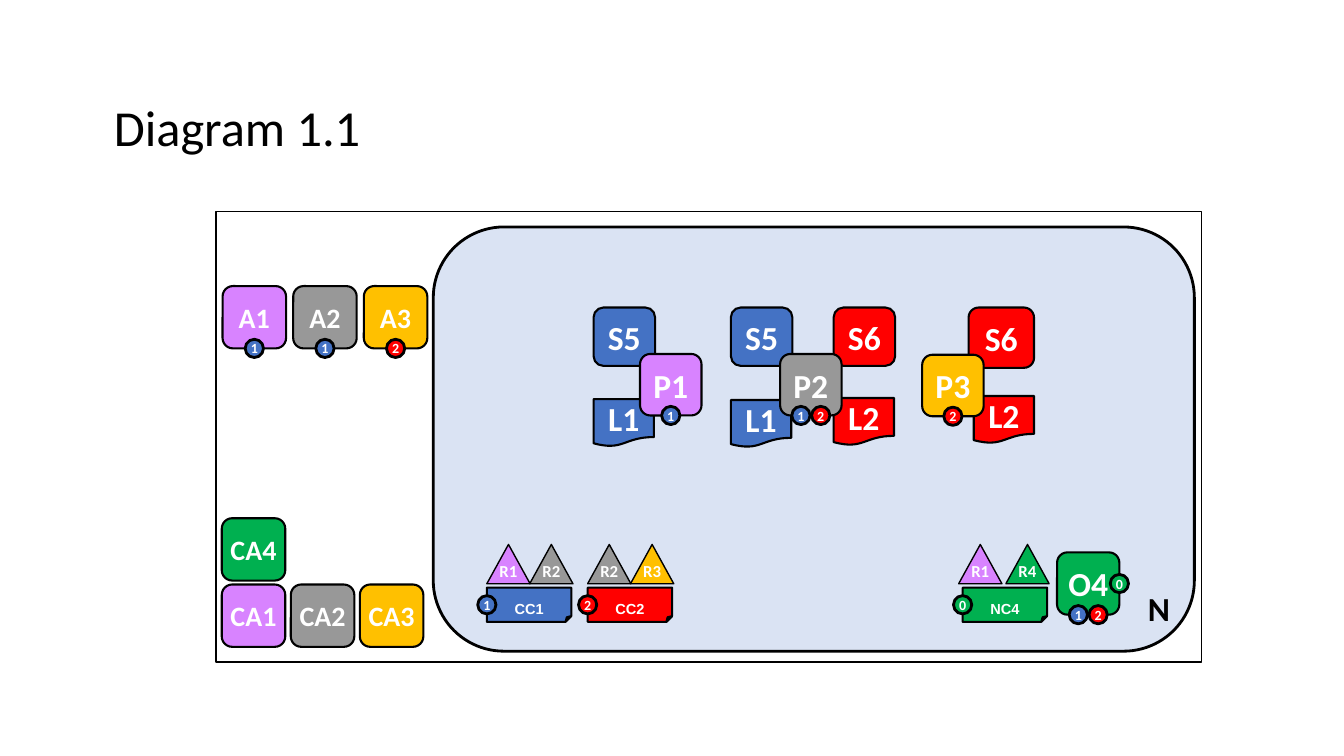
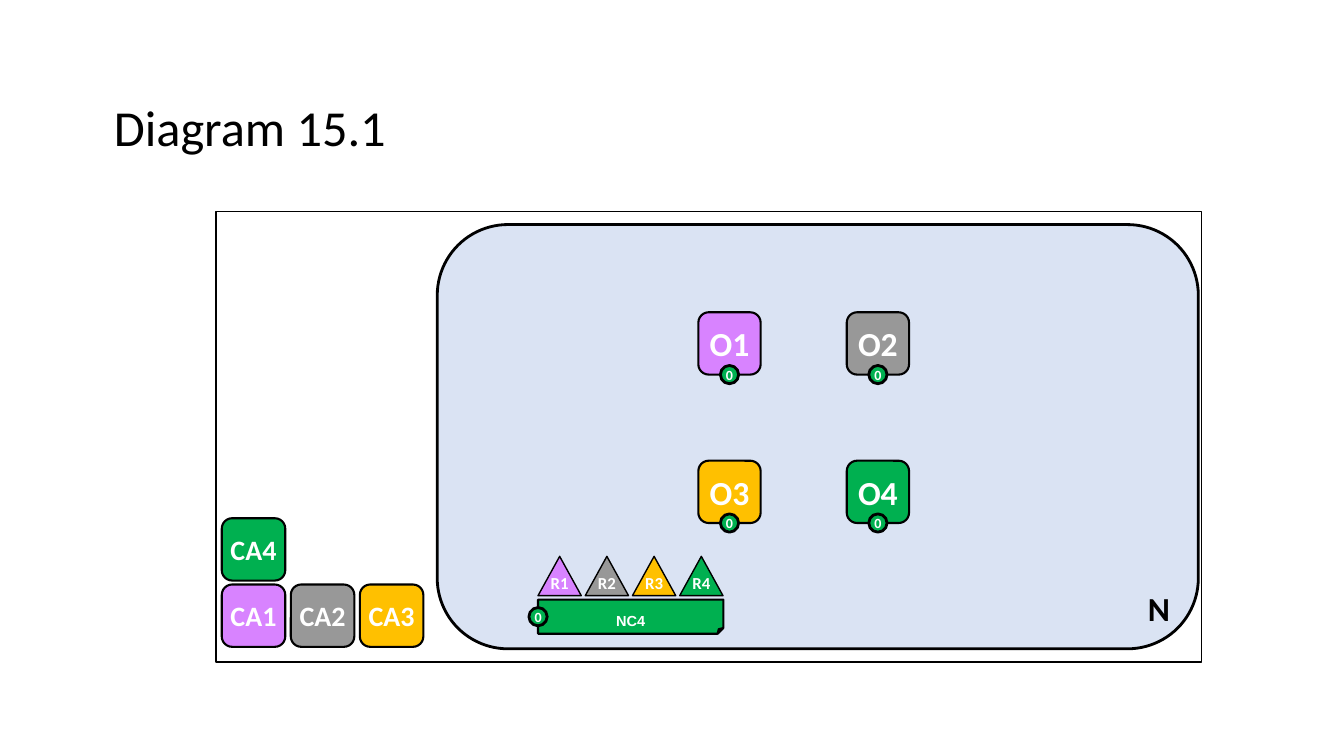
from pptx import Presentation
from pptx.dml.color import RGBColor
from pptx.enum.shapes import MSO_SHAPE as SHAPE
from pptx.enum.text import MSO_ANCHOR as ANCHOR, PP_ALIGN as ALIGN
from pptx.util import Cm, Pt

# Colours: by the full label where listed, otherwise by the owner's digit
BLACK, WHITE, PANEL = "000000", "FFFFFF", "DAE3F3"
BLUE, RED, GREEN = "4472C4", "FF0000", "00B050"
OWNER = {"1": "D883FF", "2": "989898", "3": "FFC000", "4": GREEN}
CHANNEL = {"0": GREEN, "1": BLUE, "2": RED, "S5": BLUE, "S6": RED,
           "L1": BLUE, "L2": RED, "CC1": BLUE, "CC2": RED}

# Label prefix: shape, width, height, text size, line width, insets (all lengths in cm)
EVEN, CARD_PAD = (0.1, 0.13, 0.1, 0.13), (0.1, 0.13, 0.1, 0.2)
STYLES = {
    "A": (SHAPE.ROUNDED_RECTANGLE, 1.6, 1.57, 20, 1.5, EVEN),
    "CA": (SHAPE.ROUNDED_RECTANGLE, 1.6, 1.57, 20, 1.5, EVEN),
    "O": (SHAPE.ROUNDED_RECTANGLE, 1.57, 1.57, 24, 1.5, EVEN),
    "P": (SHAPE.ROUNDED_RECTANGLE, 1.55, 1.55, 24, 1.5, EVEN),
    "S": (SHAPE.ROUNDED_RECTANGLE, 1.55, 1.47, 24, 1.5, EVEN),
    "L": (SHAPE.FLOWCHART_DOCUMENT, 1.52, 1.19, 24, 1.5, EVEN),
    "CC": (SHAPE.FOLDED_CORNER, 2.13, 0.86, 18, 1.5, CARD_PAD),
    "NC": (SHAPE.FOLDED_CORNER, 2.13, 0.86, 18, 1.5, CARD_PAD),
    "R": (SHAPE.ISOSCELES_TRIANGLE, 1.09, 0.99, 12, 1, (0, 0.13, 0, 0.3)),
    "": (SHAPE.OVAL, 0.46, 0.46, 10, 2, (0, 0, 0, 0)),
}
BADGE, BADGE_STEP = 0.46, 0.5
ROLE_RISE = 1.09
GRID = 3.74

# Tiles: label, left, top, badges by side, then width and height if unusual
APPS = [(f"A{i + 1}", 5.61 + 1.78 * i, 7.21, {"bottom": ch})
        for i, ch in enumerate("112")]
PEERS = [
    ("L2", 24.54, 9.98, {}),
    ("S6", 24.41, 7.75, {}, 1.65, 1.52),
    ("P3", 23.24, 8.94, {"bottom": "2"}),
    ("L1", 14.96, 10.06, {}),
    ("S5", 14.96, 7.75, {}),
    ("P1", 16.13, 8.92, {"bottom": "1"}),
    ("L1", 18.42, 10.08, {}),
    ("L2", 21.01, 10.03, {}),
    ("S5", 18.42, 7.75, {}),
    ("S6", 21.01, 7.75, {}),
    ("P2", 19.66, 8.92, {"bottom": "12"}),
    ("O4", 26.64, 13.92, {"bottom": "12", "right": "0"}),
]
ORDERERS = [(f"O{i + 1}", 17.6 + GRID * (i % 2), 7.87 + GRID * (i // 2), {"bottom": "0"})
            for i in range(4)]
AUTHORITIES = [("CA4", 5.59, 13.06, {})] + [
    (f"CA{i + 1}", 5.59 + 1.74 * i, 14.73, {}) for i in range(3)]

# Cards: label, left, top, width, channel, role digits, offset and step of the roles
SLIDES = [
    {"title": "Diagram 1.1", "panel": (10.92, 5.72),
     "tiles": APPS + PEERS + AUTHORITIES,
     "cards": [("CC1", 12.27, 14.81, 2.13, "1", "12", 0, 1.08),
               ("CC2", 14.81, 14.81, 2.13, "2", "23", 0, 1.08),
               ("NC4", 24.26, 14.81, 2.13, "0", "14", -0.1, 1.19)]},
    {"title": "Diagram 15.1", "panel": (11.02, 5.66),
     "tiles": ORDERERS + AUTHORITIES,
     "cards": [("NC4", 13.56, 15.11, 4.67, "0", "1234", 0, 1.19)]},
]


def rgb(colour):
    return RGBColor.from_string(colour)


def add_text(tf, text, size, colour, align, font="Calibri", bold=True):
    p = tf.paragraphs[0]
    p.alignment = align
    r = p.add_run()
    r.text = text
    r.font.name, r.font.size, r.font.bold = font, Pt(size), bold
    r.font.color.rgb = rgb(colour)
    return p, r


def set_insets(tf, insets):
    tf.margin_left, tf.margin_top, tf.margin_right, tf.margin_bottom = map(Cm, insets)


def add_box(s, kind, x, y, w, h, fill, line):
    sp = s.shapes.add_shape(kind, Cm(x), Cm(y), Cm(w), Cm(h))
    sp.shadow.inherit = False
    if fill:
        sp.fill.solid()
        sp.fill.fore_color.rgb = rgb(fill)
    else:
        sp.fill.background()
    sp.line.color.rgb = rgb(BLACK)
    sp.line.width = Pt(line)
    return sp


def add_part(s, label, x, y, w=None, h=None):
    """Draw one labelled part; its label decides style and colour."""
    prefix = label.rstrip("0123456789")
    kind, std_w, std_h, size, line, insets = STYLES[prefix]
    w, h = w or std_w, h or std_h
    fill = CHANNEL.get(label) or OWNER[label[-1]]
    sp = add_box(s, kind, x, y, w, h, fill, line)
    tf = sp.text_frame
    tf.word_wrap = True
    tf.vertical_anchor = ANCHOR.MIDDLE
    set_insets(tf, insets)
    is_card = kind == SHAPE.FOLDED_CORNER
    p, r = add_text(tf, label, size, WHITE, ALIGN.CENTER, "Arial" if is_card else "Calibri")
    if is_card:
        r._r.get_or_add_rPr().set("baseline", "-25000")
    return w, h


def add_badges(s, x, y, w, h, badges):
    """Centre a row of channel badges on each given side of a part."""
    centres = {"bottom": (x + w / 2, y + h), "left": (x, y + h / 2),
               "right": (x + w, y + h / 2)}
    for side, channels in badges.items():
        cx, cy = centres[side]
        first = cx - BADGE_STEP * (len(channels) - 1) / 2
        for i, channel in enumerate(channels):
            add_part(s, channel, first + BADGE_STEP * i - BADGE / 2, cy - BADGE / 2)


def add_base(s, title, panel):
    """Network panel, its letter, the outer frame and the title."""
    add_box(s, SHAPE.ROUNDED_RECTANGLE, *panel, 19.18, 10.69, PANEL, 2)
    tf = s.shapes.add_textbox(Cm(28.65), Cm(14.68), Cm(1.12), Cm(1.27)).text_frame
    tf.word_wrap = True
    add_text(tf, "N", 24, BLACK, ALIGN.CENTER)
    add_box(s, SHAPE.RECTANGLE, 5.44, 5.33, 24.84, 11.35, None, 1)

    sp = s.shapes.title
    sp.left, sp.top, sp.width, sp.height = Cm(2.74), Cm(1.45), Cm(29.21), Cm(3.68)
    tf = sp.text_frame
    tf.vertical_anchor = ANCHOR.MIDDLE
    set_insets(tf, (0.13,) * 4)
    p, r = add_text(tf, title, 36, BLACK, ALIGN.LEFT, bold=False)
    p.line_spacing = 0.9


def main():
    prs = Presentation()
    prs.slide_width, prs.slide_height = Cm(33.87), Cm(19.05)
    for content in SLIDES:
        s = prs.slides.add_slide(prs.slide_layouts[5])
        add_base(s, content["title"], content["panel"])
        for label, x, y, badges, *size in content["tiles"]:
            w, h = add_part(s, label, x, y, *size)
            add_badges(s, x, y, w, h, badges)
        for label, x, y, width, channel, roles, offset, step in content["cards"]:
            w, h = add_part(s, label, x, y, width)
            for i, role in enumerate(roles):
                add_part(s, f"R{role}", x + offset + step * i, y - ROLE_RISE)
            add_badges(s, x, y, w, h, {"left": channel})
    prs.save("out.pptx")


if __name__ == "__main__":
    main()
